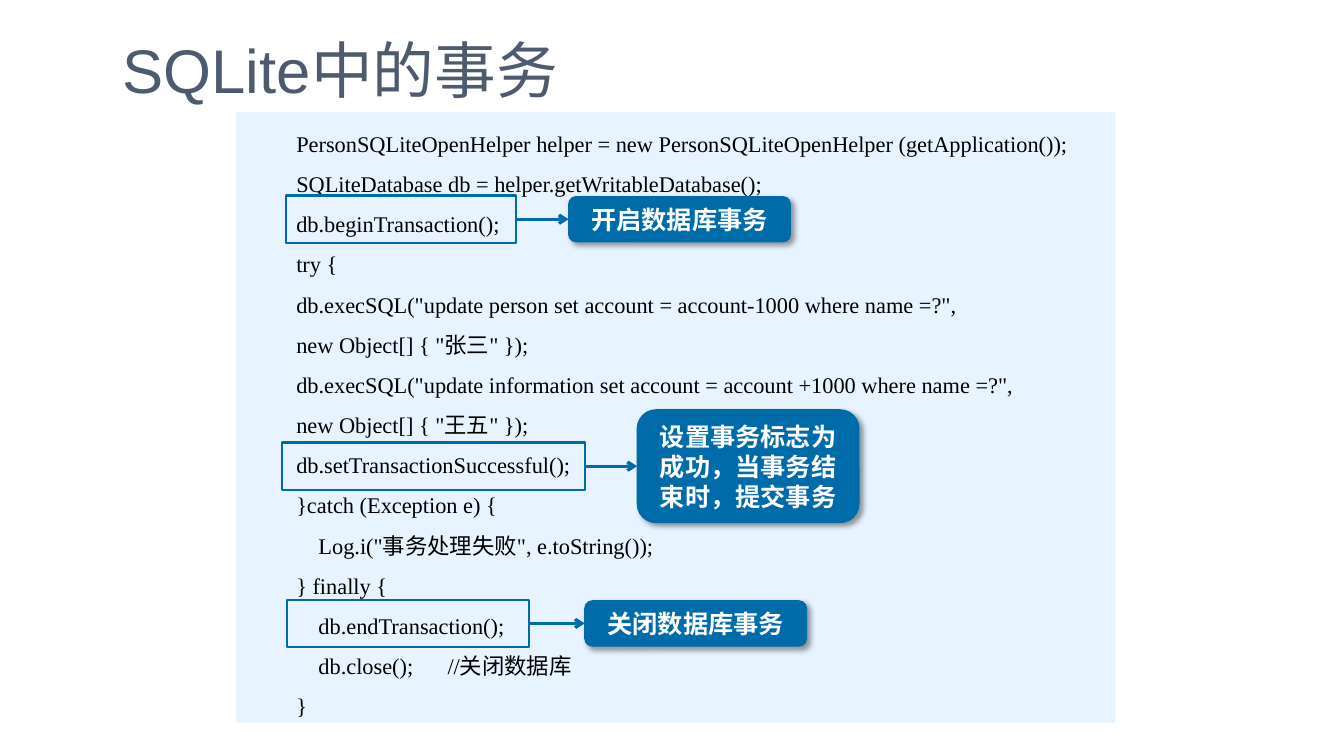
from typing import NamedTuple

from lxml.etree import SubElement
from pptx import Presentation
from pptx.dml.color import RGBColor
from pptx.enum.shapes import MSO_CONNECTOR, MSO_SHAPE
from pptx.enum.text import MSO_ANCHOR, PP_ALIGN
from pptx.oxml.ns import qn
from pptx.shapes.autoshape import Shape
from pptx.slide import Slide
from pptx.util import Inches, Pt

COLORS = {
    "title": "4E5B6F",
    "panel": "E7F4FF",
    "accent": "006BA9",
    "code": "000000",
    "white": "FFFFFF",
}
RIGHT_SIDE, LEFT_SIDE = 3, 1
FRAME_HEIGHT = 0.47
CALLOUT_WIDTH = 2.2
CODE_INDENT, NESTED_INDENT, COMMENT_TAB = 0.5, 0.72, 2.43


class CodeLine(NamedTuple):
    text: str
    indent: float = CODE_INDENT


class Step(NamedTuple):
    """A framed code line and the callout that explains it."""
    frame_left: float
    frame_top: float
    frame_width: float
    callout_left: float
    callout_height: float
    text: str


CODE = [
    CodeLine("PersonSQLiteOpenHelper helper = new PersonSQLiteOpenHelper (getApplication());"),
    CodeLine("SQLiteDatabase db = helper.getWritableDatabase();"),
    CodeLine("db.beginTransaction();"),
    CodeLine("try {"),
    CodeLine('db.execSQL("update person set account = account-1000 where name =?",'),
    CodeLine('new Object[] { "张三" });'),
    CodeLine('db.execSQL("update information set account = account +1000 where name =?",'),
    CodeLine('new Object[] { "王五" });'),
    CodeLine("db.setTransactionSuccessful();"),
    CodeLine("}catch (Exception e) {"),
    CodeLine('Log.i("事务处理失败", e.toString());', NESTED_INDENT),
    CodeLine("} finally {"),
    CodeLine("db.endTransaction();", NESTED_INDENT),
    CodeLine("db.close();\t//关闭数据库", NESTED_INDENT),
    CodeLine("}"),
]
STEPS = [
    Step(2.84, 1.94, 2.28, 5.64, 0.45, "开启数据库事务"),
    Step(2.85, 5.95, 2.4, 5.8, 0.45, "关闭数据库事务"),
    Step(2.8, 4.39, 3, 6.32, 1.12, "设置事务标志为成功，当事务结束时，提交事务"),
]


def color(name: str) -> RGBColor:
    return RGBColor.from_string(COLORS[name])


def add_title(slide: Slide, text: str) -> None:
    box = slide.shapes.add_textbox(Inches(1.12), Inches(0.3), Inches(7.63), Inches(0.76))
    frame = box.text_frame
    frame.word_wrap = True
    frame.vertical_anchor = MSO_ANCHOR.MIDDLE
    frame.text = text
    font = frame.paragraphs[0].font
    font.name, font.size = "Arial", Pt(44)
    font.color.rgb = color("title")


def add_box(slide: Slide, preset: MSO_SHAPE, left: float, top: float, width: float,
            height: float, fill: str = "", line_width: float = 0) -> Shape:
    """Add a shape; without a fill name or a line width that part stays empty."""
    shape = slide.shapes.add_shape(
        preset, Inches(left), Inches(top), Inches(width), Inches(height))
    shape.shadow.inherit = False
    if fill:
        shape.fill.solid()
        shape.fill.fore_color.rgb = color(fill)
    else:
        shape.fill.background()
    if line_width:
        shape.line.color.rgb = color("accent")
        shape.line.width = Pt(line_width)
    else:
        shape.line.fill.background()
    return shape


def add_code_panel(slide: Slide) -> None:
    panel = add_box(slide, MSO_SHAPE.RECTANGLE, 2.34, 1.11, 8.72, 6.06, "panel")
    frame = panel.text_frame
    frame.word_wrap = True
    frame.vertical_anchor = MSO_ANCHOR.TOP
    frame.text = "\n".join(line.text for line in CODE)
    for paragraph, line in zip(frame.paragraphs, CODE):
        paragraph.alignment = PP_ALIGN.LEFT
        paragraph.line_spacing = Pt(28.7)
        paragraph.font.name, paragraph.font.size = "Times New Roman", Pt(16)
        paragraph.font.color.rgb = color("code")
        properties = paragraph._p.get_or_add_pPr()
        properties.set("marL", "0")
        properties.set("indent", str(Inches(line.indent)))
        if "\t" in line.text:
            tabs = properties.makeelement(qn("a:tabLst"), {})
            SubElement(tabs, qn("a:tab"), pos=str(Inches(COMMENT_TAB)), algn="l")
            properties.find(qn("a:defRPr")).addprevious(tabs)


def add_drop_shadow(shape: Shape) -> None:
    effects = shape._element.spPr.find(qn("a:effectLst"))
    shadow = SubElement(effects, qn("a:outerShdw"), blurRad=str(Pt(4)), dist=str(Pt(3)),
                        dir="2700000", algn="tl", rotWithShape="0")
    shade = SubElement(shadow, qn("a:srgbClr"), val="000000")
    SubElement(shade, qn("a:alpha"), val="40000")


def add_arrow(slide: Slide, start: Shape, end: Shape) -> None:
    arrow = slide.shapes.add_connector(MSO_CONNECTOR.STRAIGHT, 0, 0, 0, 0)
    arrow.begin_connect(start, RIGHT_SIDE)
    arrow.end_connect(end, LEFT_SIDE)
    arrow.line.color.rgb = color("accent")
    arrow.line.width = Pt(2.25)
    SubElement(arrow.line._get_or_add_ln(), qn("a:tailEnd"), type="arrow")
    SubElement(arrow._element.spPr, qn("a:effectLst"))


def add_step(slide: Slide, step: Step) -> None:
    frame = add_box(slide, MSO_SHAPE.RECTANGLE, step.frame_left, step.frame_top,
                    step.frame_width, FRAME_HEIGHT, line_width=1.5)
    callout_top = step.frame_top + (FRAME_HEIGHT - step.callout_height) / 2
    callout = add_box(slide, MSO_SHAPE.ROUNDED_RECTANGLE, step.callout_left, callout_top,
                      CALLOUT_WIDTH, step.callout_height, "accent", 0.75)
    add_drop_shadow(callout)
    text_frame = callout.text_frame
    text_frame.word_wrap = True
    text_frame.vertical_anchor = MSO_ANCHOR.MIDDLE
    text_frame.text = step.text
    paragraph = text_frame.paragraphs[0]
    paragraph.alignment = PP_ALIGN.CENTER
    paragraph.font.name, paragraph.font.size = "Arial", Pt(18)
    paragraph.font.bold = True
    paragraph.font.color.rgb = color("white")
    add_arrow(slide, frame, callout)


def main() -> None:
    presentation = Presentation()
    presentation.slide_width, presentation.slide_height = Inches(13.33), Inches(7.5)
    slide = presentation.slides.add_slide(presentation.slide_layouts[6])
    add_title(slide, "SQLite中的事务")
    add_code_panel(slide)
    for step in STEPS:
        add_step(slide, step)
    presentation.save("out.pptx")


if __name__ == "__main__":
    main()
